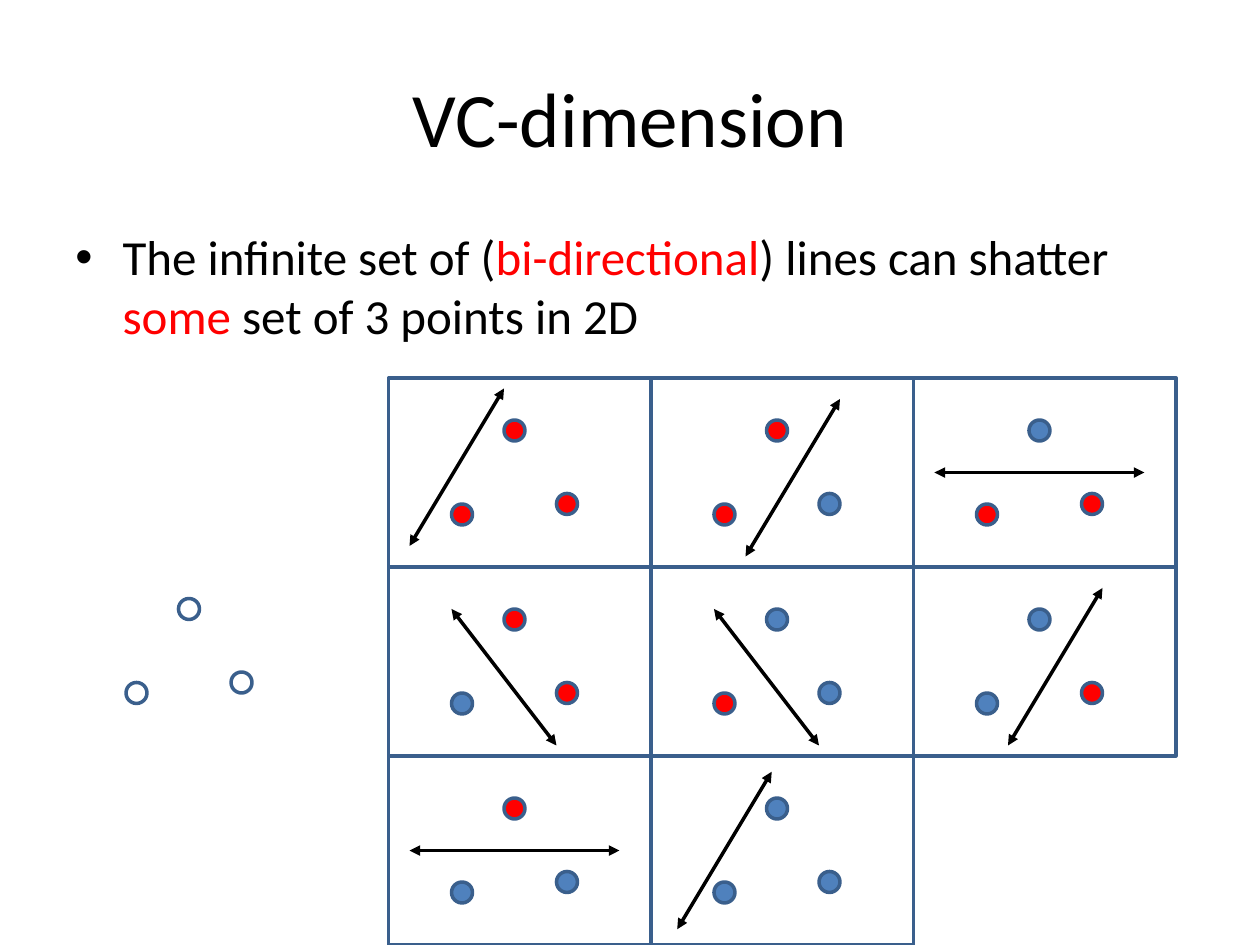
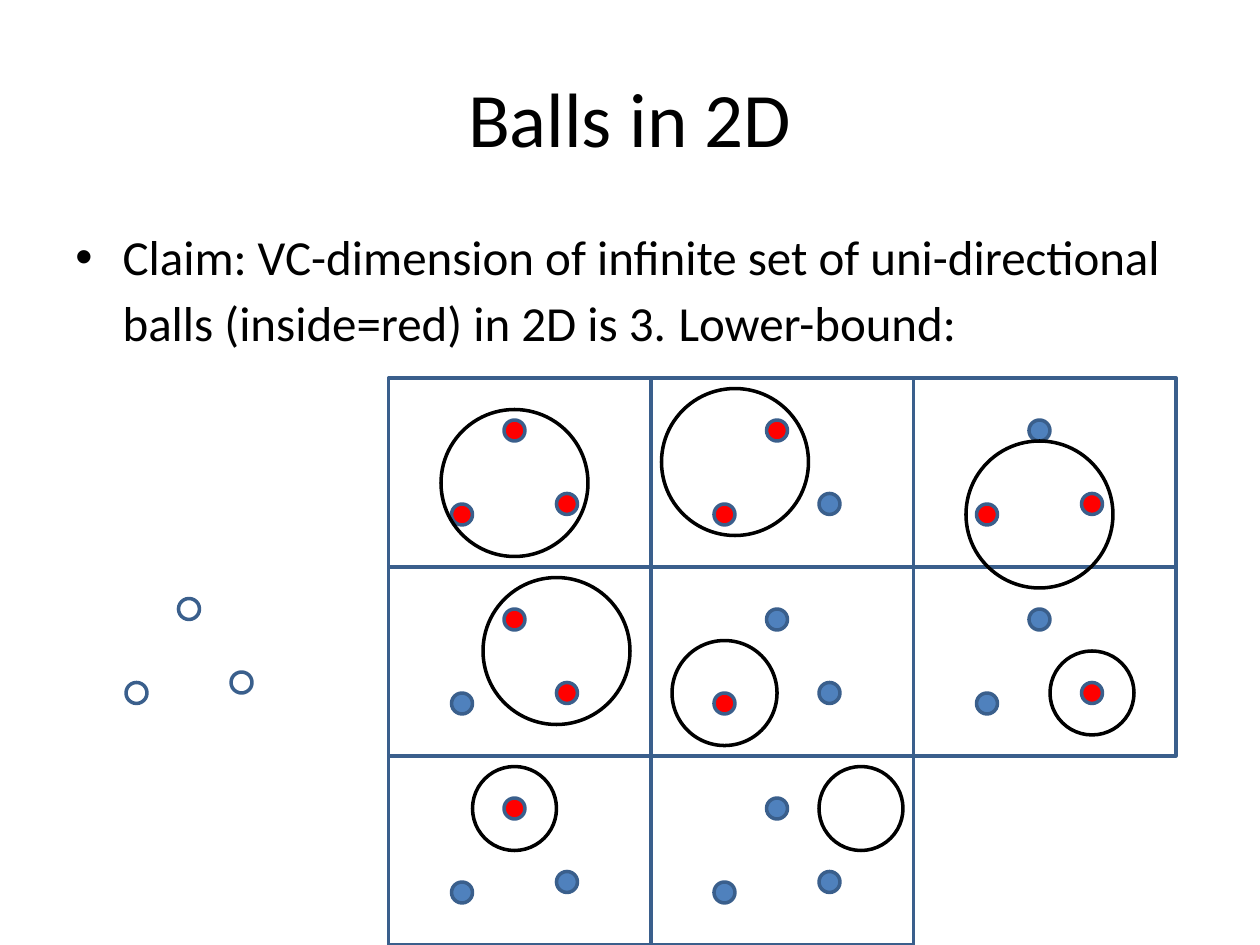
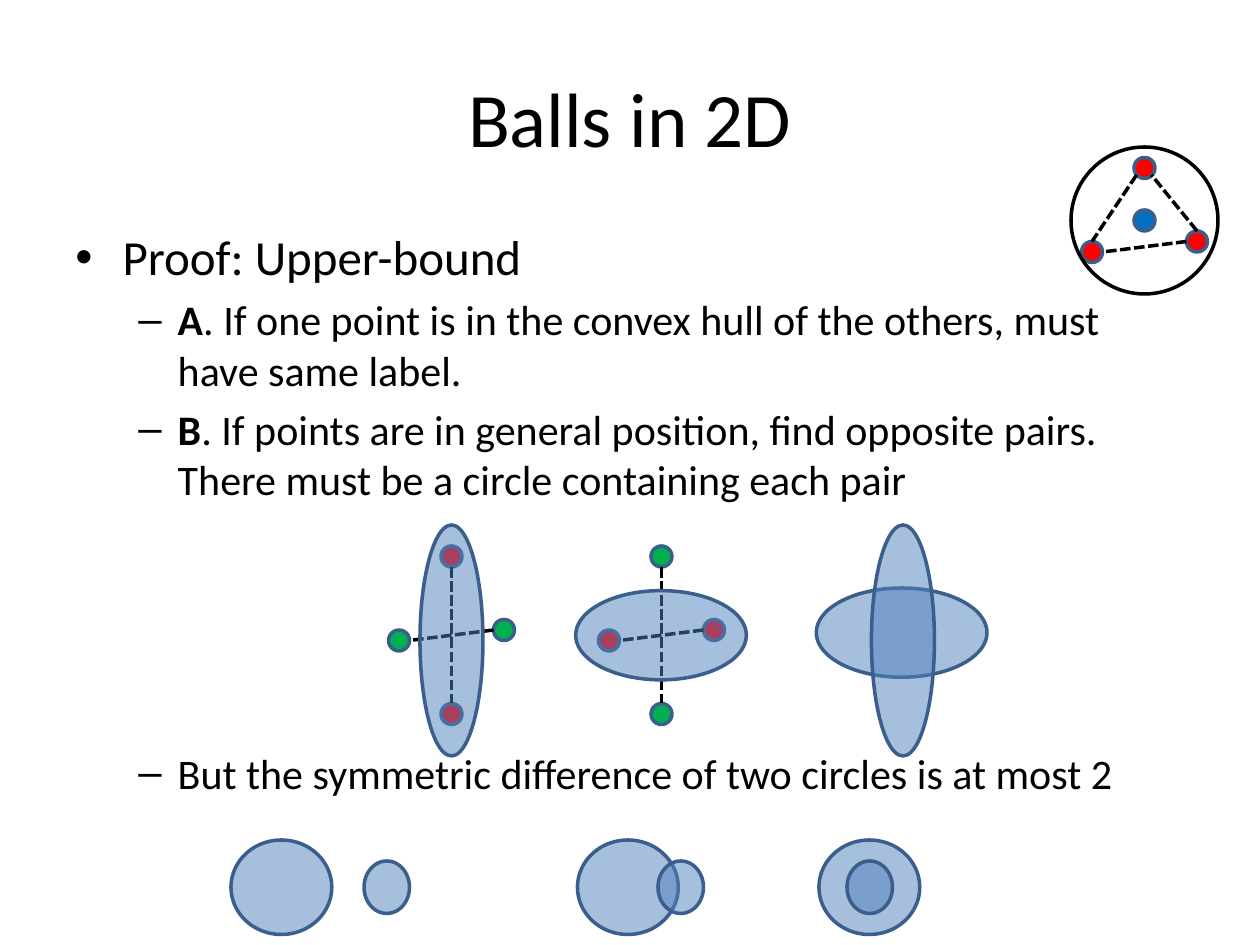
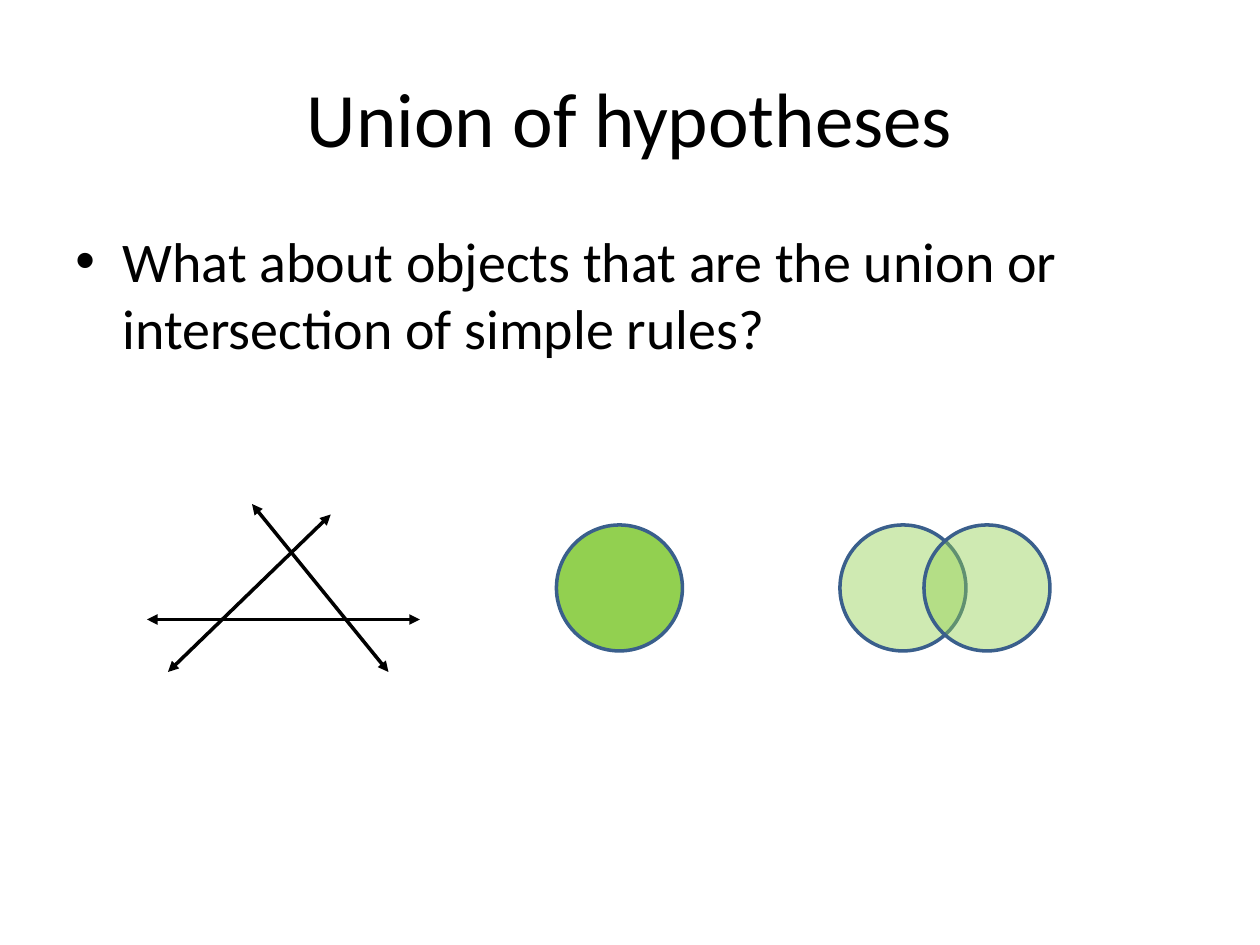
from lxml.etree import SubElement
from pptx import Presentation
from pptx.dml.color import RGBColor
from pptx.enum.dml import MSO_LINE
from pptx.enum.shapes import MSO_CONNECTOR, MSO_SHAPE
from pptx.enum.text import MSO_ANCHOR, PP_ALIGN
from pptx.oxml.ns import qn
from pptx.util import Pt

COLORS = {
    "text": "000000",
    "outline": "3A5F8C",
    "red": "FF0000",
    "blue": "4F81BD",
    "hull_blue": "0070C0",
    "green": "00B050",
    "lime": "92D050",
}
FONT = "Calibri"
LINE_WIDTH = 2
DOT_SIZE = 12
BULLETS = [("•", 27, -27), ("–", 58.5, -22.5)]

GRID_LEFT, GRID_TOP = 222, 216
CELL_WIDTH, CELL_HEIGHT = 150, 108
GRID_COLUMNS = 3
TRIPLE_OFFSETS = [(66, 24), (36, 72), (96, 66)]
UNLABELLED_ORIGIN = (36, 318)
LABELINGS = ["RRR", "RRB", "BRR", "RBR", "BRB", "BBR", "RBB", "BBB"]
LABEL_COLORS = {"R": "red", "B": "blue"}
SEPARATING_LINES = [
    (12, 96, 66, 6), (54, 102, 108, 12), (12, 54, 132, 54),
    (96, 102, 36, 24), (96, 102, 36, 24), (54, 102, 108, 12),
    (12, 54, 132, 54), (15, 99, 69, 9),
]
SEPARATING_BALLS = [
    (30, 18, 84), (6, 6, 84), (30, 36, 84),
    (54, 6, 84), (12, 42, 60), (78, 48, 48),
    (48, 6, 48), (96, 6, 48),
]


def add_run(paragraph, text, size=28, color="text", bold=False):
    """Append formatted text to a paragraph."""
    run = paragraph.add_run()
    run.text = text
    run.font.name = FONT
    run.font.size = Pt(size)
    run.font.bold = bold
    run.font.color.rgb = RGBColor.from_string(COLORS[color])


class Deck:
    """Hold the shared style, the presentation and the current slide."""

    def __init__(self):
        """Start an empty 4:3 presentation."""
        self.presentation = Presentation()
        self.presentation.slide_width = Pt(720)
        self.presentation.slide_height = Pt(540)
        self.slide = None

    def new_slide(self, title):
        """Add a slide with a centred title."""
        self.slide = self.presentation.slides.add_slide(self.presentation.slide_layouts[5])
        placeholder = self.slide.shapes.title
        placeholder.left, placeholder.top = Pt(36), Pt(21.6)
        placeholder.width, placeholder.height = Pt(648), Pt(90)
        placeholder.text_frame.vertical_anchor = MSO_ANCHOR.MIDDLE
        paragraph = placeholder.text_frame.paragraphs[0]
        paragraph.alignment = PP_ALIGN.CENTER
        add_run(paragraph, title, size=44)

    def body(self, *items):
        """Add bulleted text from (level, space before, runs) items."""
        box = self.slide.shapes.add_textbox(Pt(36), Pt(126), Pt(648), Pt(356.4))
        frame = box.text_frame
        frame.word_wrap = True
        for index, (level, space_before, runs) in enumerate(items):
            paragraph = frame.add_paragraph() if index else frame.paragraphs[0]
            bullet, margin, indent = BULLETS[level]
            properties = paragraph._p.get_or_add_pPr()
            properties.set("marL", str(Pt(margin)))
            properties.set("indent", str(Pt(indent)))
            SubElement(properties, qn("a:buFont"), typeface="Arial")
            SubElement(properties, qn("a:buChar"), char=bullet)
            paragraph.level = level
            paragraph.space_before = Pt(space_before)
            for text, options in runs:
                add_run(paragraph, text, **options)

    def shape(self, kind, left, top, width, height, fill=None, line="outline", opacity=None):
        """Add a preset shape with an outline and an optional fill."""
        shape = self.slide.shapes.add_shape(kind, Pt(left), Pt(top), Pt(width), Pt(height))
        shape.shadow.inherit = False
        if fill:
            shape.fill.solid()
            shape.fill.fore_color.rgb = RGBColor.from_string(COLORS[fill])
        else:
            shape.fill.background()
        if opacity:
            color = shape._element.spPr.find(".//" + qn("a:srgbClr"))
            SubElement(color, qn("a:alpha"), val=str(opacity * 1000))
        shape.line.color.rgb = RGBColor.from_string(COLORS[line])
        shape.line.width = Pt(LINE_WIDTH)

    def ellipse(self, left, top, width, height, **options):
        """Add an ellipse."""
        self.shape(MSO_SHAPE.OVAL, left, top, width, height, **options)

    def dot(self, left, top, fill=None):
        """Add a sample point."""
        self.ellipse(left, top, DOT_SIZE, DOT_SIZE, fill=fill)

    def line(self, start_x, start_y, end_x, end_y, dashed=False):
        """Add a dashed segment or a line with arrowheads at both ends."""
        connector = self.slide.shapes.add_connector(
            MSO_CONNECTOR.STRAIGHT, Pt(start_x), Pt(start_y), Pt(end_x), Pt(end_y))
        connector.line.color.rgb = RGBColor.from_string(COLORS["text"])
        connector.line.width = Pt(LINE_WIDTH)
        if dashed:
            connector.line.dash_style = MSO_LINE.SQUARE_DOT
        else:
            outline = connector.line._get_or_add_ln()
            for end in ("a:headEnd", "a:tailEnd"):
                SubElement(outline, qn(end), type="triangle")
        SubElement(connector._element.spPr, qn("a:effectLst"))

    def triple(self, left, top, fills):
        """Add three sample points around a shared origin."""
        for (x, y), fill in zip(TRIPLE_OFFSETS, fills):
            self.dot(left + x, top + y, fill)

    def labeling_grid(self):
        """Add the unlabelled points and a cell for every labeling."""
        self.triple(*UNLABELLED_ORIGIN, [None] * 3)
        for (left, top), labels in zip(cell_origins(), LABELINGS):
            self.triple(left, top, [LABEL_COLORS[label] for label in labels])
            self.shape(MSO_SHAPE.RECTANGLE, left, top, CELL_WIDTH, CELL_HEIGHT)


def cell_origins():
    """Return the top left corner of each labeling cell."""
    return [(GRID_LEFT + index % GRID_COLUMNS * CELL_WIDTH,
             GRID_TOP + index // GRID_COLUMNS * CELL_HEIGHT)
            for index in range(len(LABELINGS))]


def build_lines_slide(deck):
    """Show lines that shatter three points."""
    deck.new_slide("VC-dimension")
    deck.body((0, 0, [
        ("The infinite set of (", {}),
        ("bi-directional", {"color": "red"}),
        (") lines can shatter ", {}),
        ("some", {"color": "red"}),
        (" set of 3 points in 2D", {}),
    ]))
    deck.labeling_grid()
    for (left, top), (x1, y1, x2, y2) in zip(cell_origins(), SEPARATING_LINES):
        deck.line(left + x1, top + y1, left + x2, top + y2)


def build_balls_slide(deck):
    """Show balls that shatter three points."""
    deck.new_slide("Balls in 2D")
    deck.body((0, 0, [
        ("Claim: VC-dimension of infinite set of uni-directional balls "
         "(inside=red) in 2D is 3.", {}),
        (" ", {"size": 32}),
        ("Lower-bound:", {}),
    ]))
    deck.labeling_grid()
    for (left, top), (x, y, size) in zip(cell_origins(), SEPARATING_BALLS):
        deck.ellipse(left + x, top + y, size, size, line="text")


def build_proof_slide(deck):
    """Show the upper bound proof for balls."""
    deck.new_slide("Balls in 2D")
    small, strong = {"size": 24}, {"size": 24, "bold": True}
    deck.body(
        (0, 0, [("Proof: Upper-bound", {})]),
        (1, 4.8, [("A", strong), (". If one point is in the convex hull of the others, "
                                  "must have same label.", small)]),
        (1, 4.8, [("B", strong), (". If points are in general position, find opposite pairs. "
                                  "There must be a circle containing each pair", small)]),
        (1, 139, [("But the symmetric difference of two circles is at most 2", small)]),
    )
    for x, y, fill in [(648, 90, "red"), (618, 138, "red"),
                       (678, 132, "red"), (648, 120, "hull_blue")]:
        deck.dot(x, y, fill)
    for hull_edge in [(649.5, 100, 624, 138), (684, 132, 658, 100), (678, 138, 630, 144)]:
        deck.line(*hull_edge, dashed=True)
    deck.ellipse(612, 84, 84, 84, line="text")

    for left, vertical, horizontal in [(222, "red", "green"), (342, "green", "red")]:
        for x, y, fill in [(30, 312, vertical), (0, 360, horizontal),
                           (60, 354, horizontal), (30, 402, vertical)]:
            deck.dot(left + x, y, fill)
        deck.line(left + 60, 360, left + 12, 366, dashed=True)
        deck.line(left + 36, 324, left + 36, 402, dashed=True)

    regions = [(240, 300, 36, 132), (329, 337.5, 97.5, 51),
               (466.5, 336, 97.5, 51), (498, 300, 36, 132)]
    for large_left, small_left in [(330, 376), (468, 484), (132, 208)]:
        regions += [(large_left, 480, 57.6, 54), (small_left, 492, 26, 30)]
    for region in regions:
        deck.ellipse(*region, fill="blue", opacity=50)


def build_union_slide(deck):
    """Show unions and intersections of simple rules."""
    deck.new_slide("Union of hypotheses")
    deck.body((0, 0, [("What about objects that are the union or intersection "
                       "of simple rules?", {"size": 32})]))
    deck.ellipse(318, 300, 72, 72, fill="lime")
    for left in (480, 528):
        deck.ellipse(left, 300, 72, 72, fill="lime", opacity=44)
    for rule in [(96, 384, 189, 294), (144, 288, 222, 384), (84, 354, 240, 354)]:
        deck.line(*rule)


def main():
    """Build and save the presentation."""
    deck = Deck()
    build_lines_slide(deck)
    build_balls_slide(deck)
    build_proof_slide(deck)
    build_union_slide(deck)
    deck.presentation.save("out.pptx")


if __name__ == "__main__":
    main()
